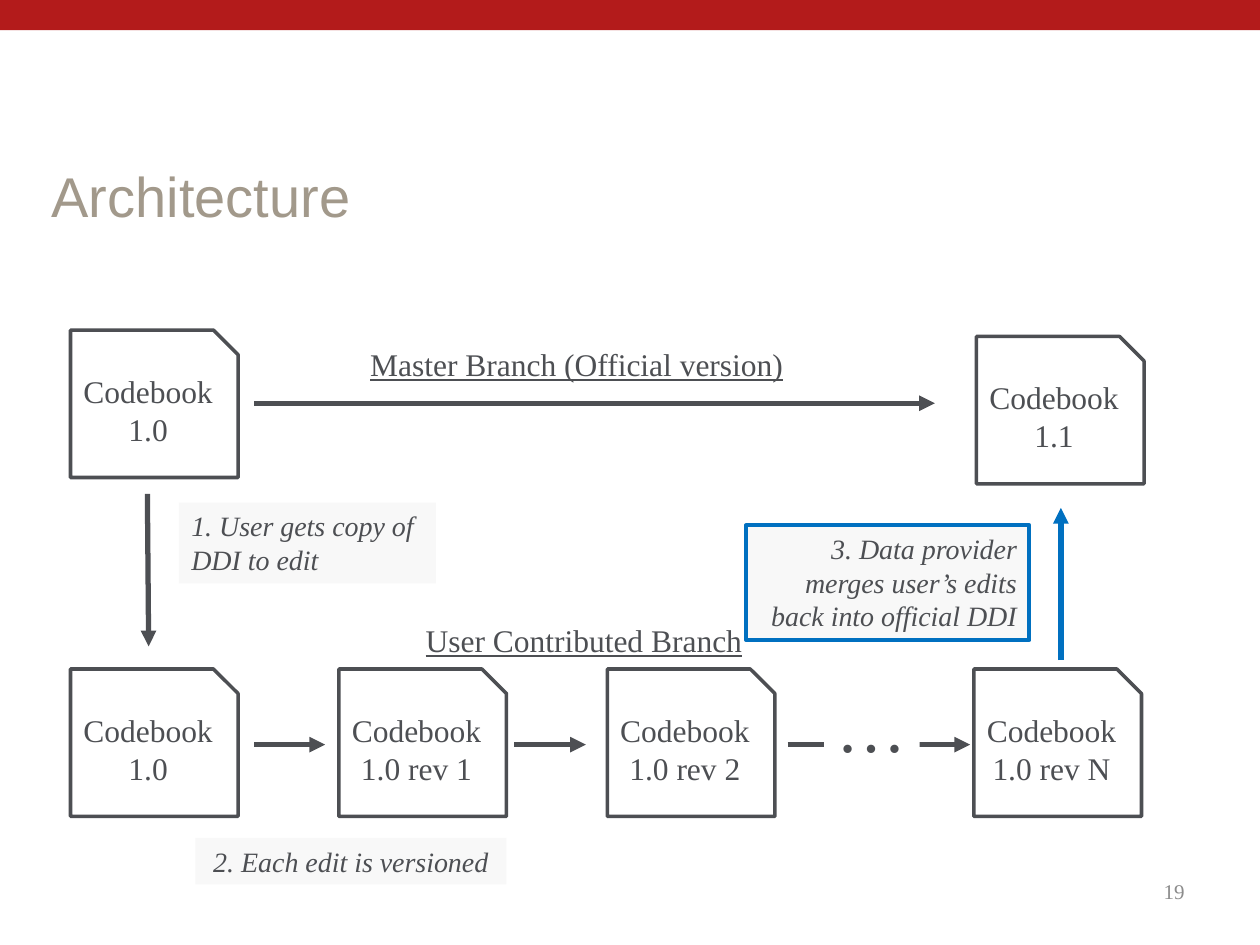
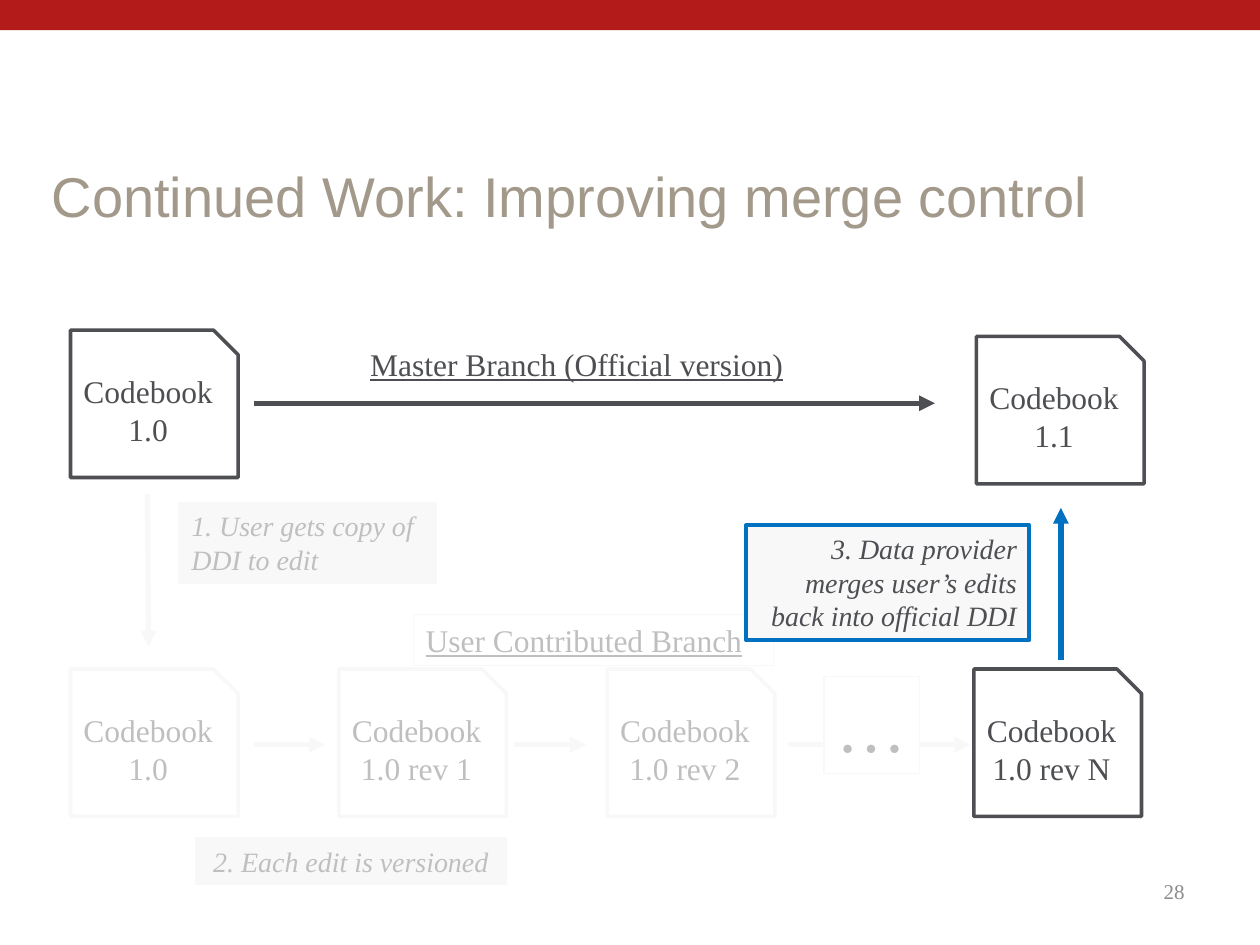
from lxml import etree
from pptx import Presentation
from pptx.dml.color import RGBColor
from pptx.enum.shapes import MSO_CONNECTOR as LINK, MSO_SHAPE as SHAPE
from pptx.enum.text import MSO_ANCHOR as ANCHOR, MSO_AUTO_SIZE as FIT, PP_ALIGN as ALIGN
from pptx.oxml.ns import qn
from pptx.util import Inches, Pt

RED, TAN, GRAY = "B31B1B", "A2998B", "8C8C8C"
DARK, PALE, FADED = "4D4F53", "F8F8F8", "BFBFBF"
BLUE, WHITE = "0070C0", "FFFFFF"
SANS, SERIF = "Arial", "Times New Roman"


def color(code):
    return RGBColor.from_string(code)


class Deck:
    def __init__(self):
        self.prs = Presentation()
        self.prs.slide_width, self.prs.slide_height = Inches(10), Inches(7.5)
        self.slide = None

    def start(self, title, number):
        """Add a slide with its band, title and page number."""
        self.slide = self.prs.slides.add_slide(self.prs.slide_layouts[5])
        self.shape((0, 0, 10, 0.24), RED)
        head = self.slide.shapes.title
        head.left, head.top, head.width, head.height = map(Inches, (0.31, 1.17, 9.49, 0.75))
        self.label(head, title, 32, TAN, font=SANS, anchor=ANCHOR.MIDDLE)
        self.text((7.17, 6.87, 2.33, 0.4), number, 12, GRAY,
                  align=ALIGN.RIGHT, anchor=ANCHOR.MIDDLE)

    def label(self, shape, words, size, ink, font=SERIF, align=ALIGN.LEFT,
              anchor=ANCHOR.TOP, wrap=True, italic=False, underline=False):
        frame = shape.text_frame
        frame.word_wrap, frame.vertical_anchor = wrap, anchor
        frame.auto_size = FIT.NONE
        para = frame.paragraphs[0]
        para.alignment = align
        run = para.add_run()
        run.text = words
        run.font.name, run.font.size = font, Pt(size)
        run.font.color.rgb = color(ink)
        run.font.italic, run.font.underline = italic, underline

    def text(self, box, words, size, ink, **style):
        area = self.slide.shapes.add_textbox(*map(Inches, box))
        self.label(area, words, size, ink, **style)
        return area

    def shape(self, box, fill, line=None, weight=0.75, kind=SHAPE.RECTANGLE):
        item = self.slide.shapes.add_shape(kind, *map(Inches, box))
        item.shadow.inherit = False
        item.fill.solid()
        item.fill.fore_color.rgb = color(fill)
        self.edge(item, line, weight)
        return item

    def edge(self, item, line, weight=0.75):
        if line:
            item.line.color.rgb = color(line)
            item.line.width = Pt(weight)
        else:
            item.line.fill.background()

    def page(self, left, top, words, line, ink):
        """A document with a cut corner."""
        item = self.shape((left, top, 1.33, 1.17), WHITE, line, 2, SHAPE.SNIP_1_RECTANGLE)
        self.label(item, words, 18, ink, align=ALIGN.CENTER, anchor=ANCHOR.MIDDLE)

    def note(self, box, words, ink, line=None, weight=0.75, align=ALIGN.LEFT):
        item = self.shape(box, PALE, line, weight)
        self.label(item, words, 16, ink, align=align, italic=True)

    def arrow(self, x1, y1, x2, y2, line):
        link = self.slide.shapes.add_connector(LINK.STRAIGHT, *map(Inches, (x1, y1, x2, y2)))
        self.edge(link, line, 3)
        props = link._element.spPr
        etree.SubElement(props.find(qn("a:ln")), qn("a:tailEnd"), type="triangle")
        etree.SubElement(props, qn("a:effectLst"))


def diagram(deck, faded):
    """Draw both branches; faded greys out the user's steps."""
    ink, line, rim = (FADED, PALE, PALE) if faded else (DARK, DARK, None)
    low, flow = 5.31, 5.91

    # Branch names
    deck.text((2.84, 2.69, 3.74, 0.4), "Master Branch (Official version)", 18, DARK,
              underline=True)
    name = deck.text((3.28, 4.88, 2.86, 0.4), "User Contributed Branch", 18, ink,
                     underline=True)
    deck.edge(name, rim)

    # User branch pages, then the pages that stay dark
    for step, words in enumerate(("1.0", "1.0 rev 1", "1.0 rev 2")):
        deck.page(0.56 + 2.13 * step, low, f"Codebook {words}", line, ink)
    for left, top, words in ((7.73, low, "1.0 rev N"), (0.56, 2.62, "1.0"),
                             (7.75, 2.67, "1.1")):
        deck.page(left, top, f"Codebook {words}", DARK, DARK)

    # Revision arrows, the last one broken by dots
    for start, end in ((2.02, 2.58), (4.08, 4.65), (6.25, 7.7)):
        deck.arrow(start, flow, end, flow, line)
    dots = deck.shape((6.54, 5.37, 0.76, 0.77), WHITE, rim)
    deck.label(dots, "…", 40, ink, wrap=False)

    # Merge, master and copy arrows
    deck.arrow(8.42, 5.24, 8.42, 4.03, BLUE)
    deck.arrow(2.02, 3.2, 7.42, 3.2, DARK)
    deck.arrow(1.17, 3.92, 1.18, 5.13, line)

    # Numbered notes
    deck.note((1.42, 3.99, 2.04, 0.64), "1. User gets copy of DDI to edit", ink, rim)
    deck.note((5.92, 4.17, 2.25, 0.91),
              "3. Data provider merges user’s edits back into official DDI",
              DARK, BLUE, 2.25, ALIGN.RIGHT)
    deck.note((1.55, 6.65, 2.47, 0.37), "2. Each edit is versioned", ink, rim,
              align=ALIGN.CENTER)


def main():
    deck = Deck()
    for title, number, faded in (("Architecture", "19", False),
                                 ("Continued Work: Improving merge control", "28", True)):
        deck.start(title, number)
        diagram(deck, faded)
    deck.prs.save("out.pptx")


if __name__ == "__main__":
    main()
